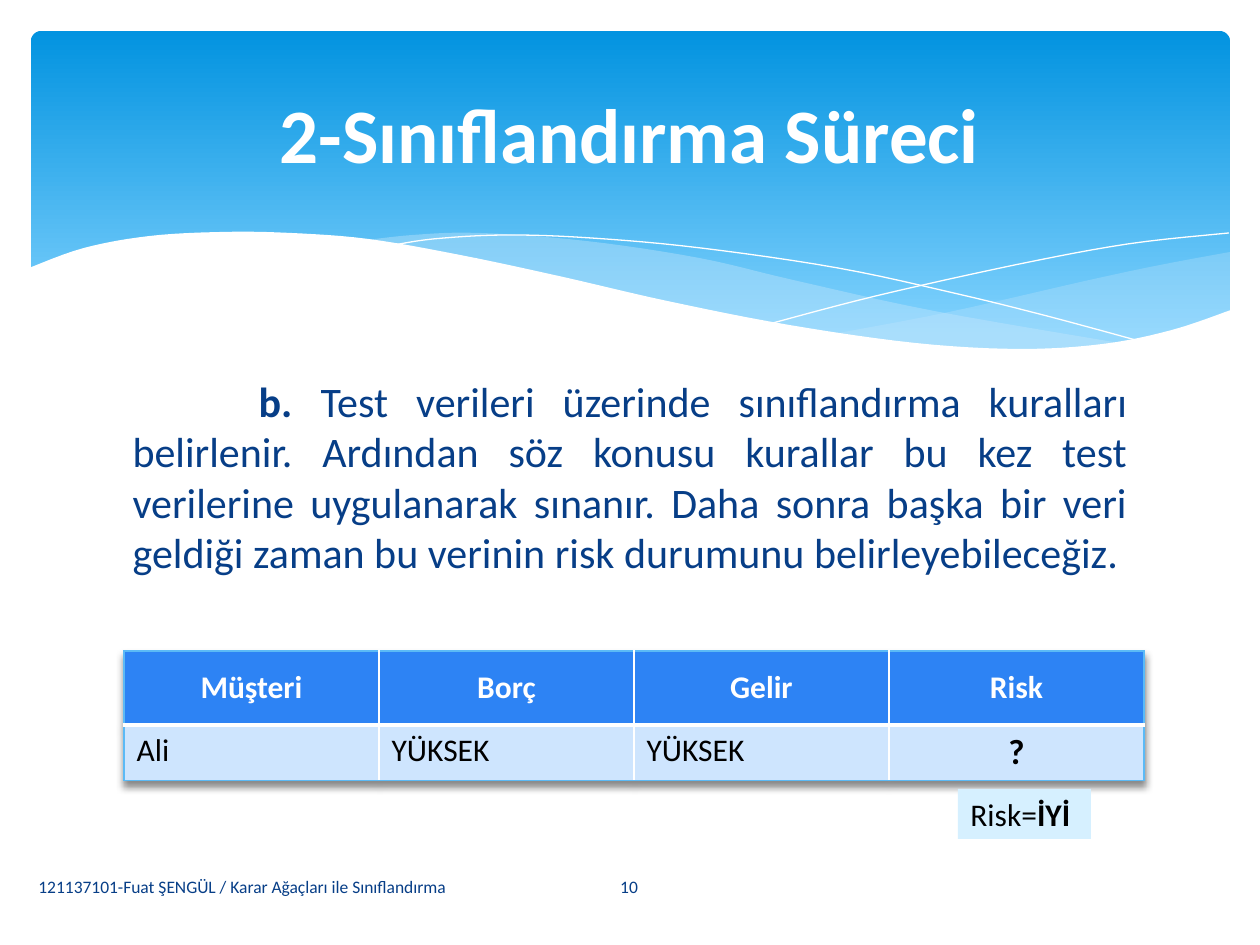
from lxml import etree
from pptx import Presentation
from pptx.dml.color import RGBColor
from pptx.enum.shapes import MSO_SHAPE
from pptx.enum.text import MSO_ANCHOR, MSO_AUTO_SIZE, PP_ALIGN
from pptx.oxml import parse_xml
from pptx.oxml.ns import qn
from pptx.util import Pt

PX = 914400 / 126
NS = 'xmlns:a="http://schemas.openxmlformats.org/drawingml/2006/main"'
LEFT, CENTER, JUSTIFY = PP_ALIGN.LEFT, PP_ALIGN.CENTER, PP_ALIGN.JUSTIFY
TOP, MIDDLE = MSO_ANCHOR.TOP, MSO_ANCHOR.MIDDLE
COLORS = {
    "white": "FFFFFF", "black": "000000", "navy": "073E87",
    "band_top": "0293E0", "band_bottom": "83D3FE", "wave": "C6E7FC",
    "header": "2D83F4", "row": "CEE5FE", "edge": "5BBAF6", "answer": "D6F0FF",
}
RGB = {name: RGBColor.from_string(value) for name, value in COLORS.items()}


def write(tf, *parts, size=18, color="black", align=LEFT):
    """Fill the first paragraph with (text, bold) parts."""
    p = tf.paragraphs[0]
    p.alignment = align
    p.space_before = Pt(0)
    for text, bold in parts:
        r = p.add_run()
        r.text = text
        r.font.name = "Calibri"
        r.font.size = Pt(size)
        r.font.bold = bold
        r.font.color.rgb = RGB[color]


def smooth(knots, steps=6):
    """Return EMU points on a Catmull-Rom curve through px knots."""
    k = [knots[0], *knots, knots[-1]]
    points = []
    for a, b, c, d in zip(k, k[1:], k[2:], k[3:]):
        for t in (i / steps for i in range(steps)):
            points.append(tuple(
                PX * (b[n] + t * (c[n] - a[n]) / 2
                      + t ** 2 * (2 * a[n] - 5 * b[n] + 4 * c[n] - d[n]) / 2
                      + t ** 3 * (3 * b[n] - a[n] - 3 * c[n] + d[n]) / 2)
                for n in (0, 1)))
    return points + [(knots[-1][0] * PX, knots[-1][1] * PX)]


prs = Presentation()
prs.slide_width, prs.slide_height = round(1260 * PX), round(945 * PX)
s = prs.slides.add_slide(prs.slide_layouts[1])
title, body = s.placeholders

# Header band
band = s.shapes.add_shape(MSO_SHAPE.ROUNDED_RECTANGLE,
                          *(round(v * PX) for v in (31, 31, 1199, 340)))
band.adjustments[0] = 0.03
band.shadow.inherit = False
band.line.fill.background()
band.fill.gradient()
band.fill.gradient_angle = 270
for stop, name, position in zip(band.fill.gradient_stops,
                                ("band_top", "band_bottom"), (0, 0.9)):
    stop.color.rgb = RGB[name]
    stop.position = position

# Waves: curves making up the outline, fill (None for a line), opacity in %
waves = [
    ([[(833, 334), (949, 312), (1085, 281), (1160, 265), (1230, 252)],
      [(1230, 311), (1178, 330), (1120, 343), (1026, 350), (939, 346),
       (833, 334)]], "wave", 29),
    ([[(360, 241), (413, 235), (479, 233), (586, 241), (699, 258), (793, 280),
       (934, 311), (1125, 344)],
      [(1125, 344), (1080, 349), (1017, 350), (927, 346), (819, 333),
       (713, 312), (566, 279), (456, 256), (360, 241)]], "wave", 40),
    ([[(389, 246), (433, 239), (505, 235), (591, 238), (701, 248), (838, 268),
       (958, 294), (1047, 316), (1143, 342)]], None, 100),
    ([[(773, 323), (876, 296), (1015, 265), (1128, 244), (1229, 233)]],
     None, 100),
    ([[(1231, 310), (1172, 330), (1103, 344), (1019, 349), (915, 343),
       (789, 325), (667, 301), (563, 277), (460, 255), (368, 239), (290, 233),
       (223, 232), (150, 236), (84, 248), (29, 268)],
      [(29, 415), (1231, 415)]], "white", 100),
]
for curves, fill, opacity in waves:
    points = [point for knots in curves for point in smooth(knots)]
    builder = s.shapes.build_freeform(*points[0])
    builder.add_line_segments(points[1:], close=fill is not None)
    wave = builder.convert_to_shape()
    wave.shadow.inherit = False
    if fill is None:
        wave.fill.background()
        wave.line.color.rgb = RGB["white"]
        wave.line.width = Pt(0)
        continue
    wave.line.fill.background()
    wave.fill.solid()
    wave.fill.fore_color.rgb = RGB[fill]
    if opacity < 100:
        color = next(wave.element.spPr.iter(qn("a:srgbClr")))
        etree.SubElement(color, qn("a:alpha"), val=str(opacity * 1000))

# Title, body and footer
footer, number = (s.shapes.add_textbox(0, 0, 0, 0) for _ in range(2))
for sp, box, anchor in [
    (body, (120, 369, 1020, 475), TOP),
    (footer, (26, 862, 522, 50), MIDDLE),
    (number, (549, 862, 160, 50), MIDDLE),
    (title, (63, 47, 1134, 172), MIDDLE),
]:
    sp.left, sp.top, sp.width, sp.height = (round(v * PX) for v in box)
    tf = sp.text_frame
    tf.word_wrap = True
    tf.auto_size = MSO_AUTO_SIZE.NONE
    tf.vertical_anchor = anchor
    s.shapes.element.append(sp.element)

pPr = body.text_frame.paragraphs[0]._p.get_or_add_pPr()
pPr.set("marL", "0")
pPr.set("indent", str(round(126 * PX)))
etree.SubElement(pPr, qn("a:buNone"))
write(body.text_frame, ("b. ", True),
      ("Test verileri üzerinde sınıflandırma kuralları belirlenir. Ardından "
       "söz konusu kurallar bu kez test verilerine uygulanarak sınanır. Daha "
       "sonra başka bir veri geldiği zaman bu verinin risk durumunu "
       "belirleyebileceğiz.", False), size=24, color="navy", align=JUSTIFY)
write(footer.text_frame,
      ("121137101-Fuat ŞENGÜL / Karar Ağaçları ile Sınıflandırma", False),
      size=10, color="navy")
write(number.text_frame, ("10", False), size=10, color="navy", align=CENTER)
write(title.text_frame, ("2-Sınıflandırma Süreci", True),
      size=44, color="white", align=CENTER)

# Customer table
rows = [("Müşteri", "Borç", "Gelir", "Risk"),
        ("Ali", "YÜKSEK", "YÜKSEK", "?")]
table = s.shapes.add_table(
    2, 4, *(round(v * PX) for v in (124, 651, 1020, 126))).table
table.horz_banding = False
table._tbl.tblPr.insert(0, parse_xml(
    f'<a:effectLst {NS}><a:outerShdw blurRad="50800" dist="38100" '
    'dir="5400000" rotWithShape="0"><a:srgbClr val="000000">'
    '<a:alpha val="45000"/></a:srgbClr></a:outerShdw></a:effectLst>'))
for column in table.columns:
    column.width = round(255 * PX)
for row, height in zip(table.rows, (74, 52)):
    row.height = round(height * PX)
for i, row in enumerate(rows):
    for j, text in enumerate(row):
        cell = table.cell(i, j)
        header, unknown = i == 0, text == "?"
        tcPr = cell._tc.get_or_add_tcPr()
        for side, outer in (("L", j == 0), ("R", j == 3),
                            ("T", i == 0), ("B", i == 1)):
            inner_rule = side in "TB" and not outer
            color = COLORS["edge" if outer else "white"]
            tcPr.append(parse_xml(
                f'<a:ln{side} {NS} w="{Pt(3 if inner_rule else 1)}">'
                f'<a:solidFill><a:srgbClr val="{color}"/></a:solidFill>'
                f'</a:ln{side}>'))
        cell.fill.solid()
        cell.fill.fore_color.rgb = RGB["header" if header else "row"]
        cell.vertical_anchor = MIDDLE if header else TOP
        write(cell.text_frame, (text, header or unknown),
              size=20 if unknown else 18,
              color="white" if header else "black",
              align=CENTER if header or unknown else LEFT)

# Predicted risk
answer = s.shapes.add_shape(MSO_SHAPE.RECTANGLE,
                            *(round(v * PX) for v in (958, 789, 133, 50)))
answer.shadow.inherit = False
answer.line.fill.background()
answer.fill.solid()
answer.fill.fore_color.rgb = RGB["answer"]
tf = answer.text_frame
tf.word_wrap = False
tf.auto_size = MSO_AUTO_SIZE.SHAPE_TO_FIT_TEXT
tf.vertical_anchor = TOP
write(tf, ("Risk=", False), ("İYİ", True))

prs.save("out.pptx")
